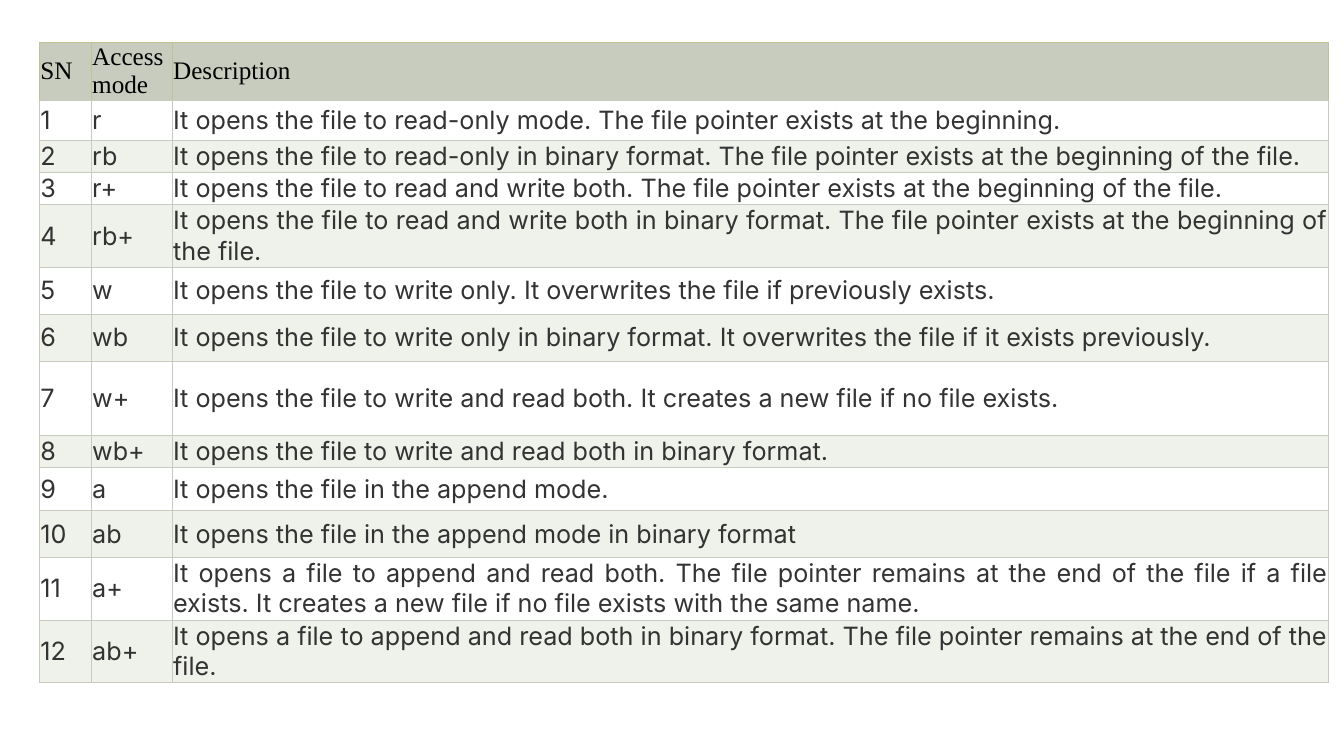
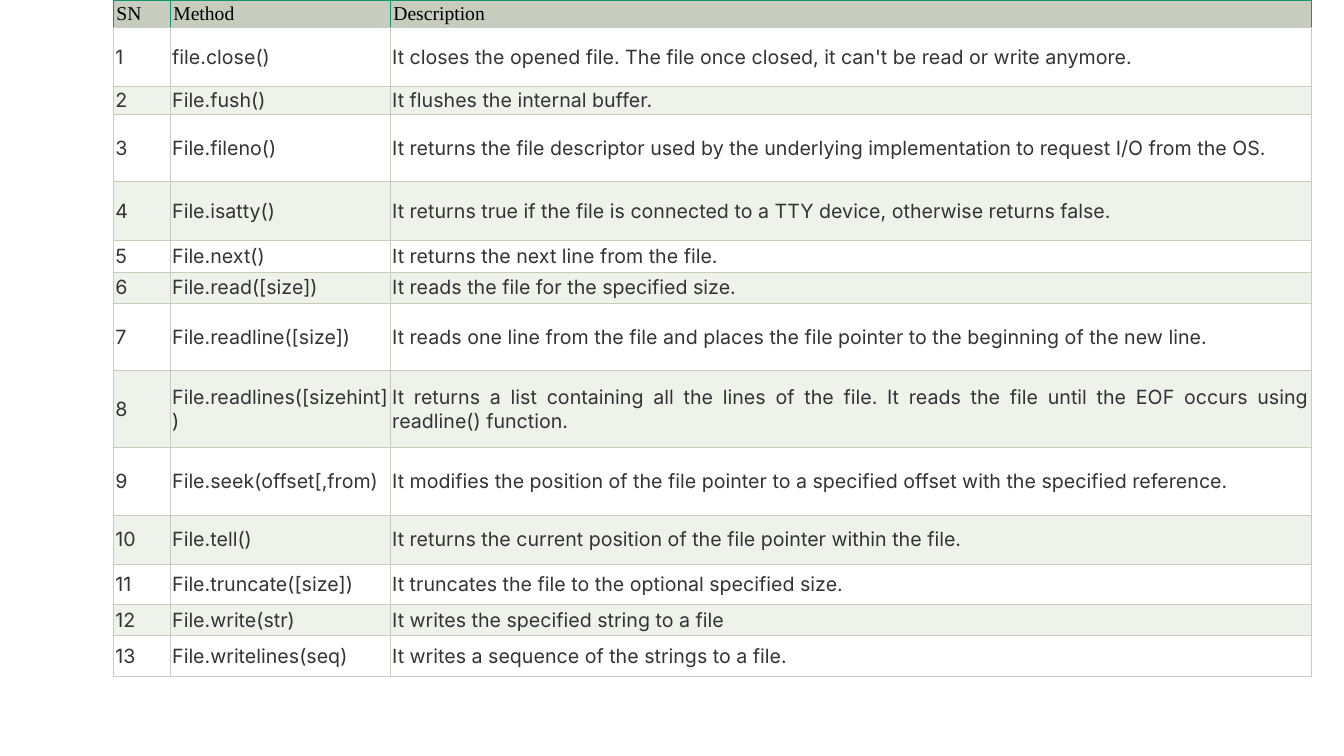
"""Build two slides with tables of file access modes and file methods."""
from lxml.etree import SubElement
from pptx import Presentation
from pptx.dml.color import RGBColor
from pptx.enum.text import MSO_ANCHOR, PP_ALIGN
from pptx.oxml.ns import qn
from pptx.util import Pt

GRID = "C7CCBE"
HEADER_FILL = "C7CCBE"
BAND_FILLS = ["FFFFFF", "EFF1EB"]
HEADER_FONT, BODY_FONT = "Times New Roman", "Inter"
HEADER_TEXT, BODY_TEXT = "000000", "333333"
BORDER_WIDTH = Pt(0.6)


def color(value):
    """Turn a hex string into a colour."""
    return RGBColor.from_string(value)


def set_borders(cell, side_color):
    """Draw the four cell borders, the lower one in the grid colour."""
    properties = cell._tc.get_or_add_tcPr()
    sides = [("L", side_color), ("R", side_color), ("T", side_color), ("B", GRID)]
    for position, (side, value) in enumerate(sides):
        line = SubElement(properties, qn(f"a:ln{side}"), w=str(BORDER_WIDTH))
        fill = SubElement(line, qn("a:solidFill"))
        SubElement(fill, qn("a:srgbClr"), val=value)
        properties.insert(position, line)


access_modes = [
    ("r", "It opens the file to read-only mode. The file pointer exists at the beginning."),
    ("rb", "It opens the file to read-only in binary format. The file pointer exists at the beginning of the file."),
    ("r+", "It opens the file to read and write both. The file pointer exists at the beginning of the file."),
    ("rb+", "It opens the file to read and write both in binary format. "
            "The file pointer exists at the beginning of the file."),
    ("w", "It opens the file to write only. It overwrites the file if previously exists."),
    ("wb", "It opens the file to write only in binary format. It overwrites the file if it exists previously."),
    ("w+", "It opens the file to write and read both. It creates a new file if no file exists."),
    ("wb+", "It opens the file to write and read both in binary format."),
    ("a", "It opens the file in the append mode."),
    ("ab", "It opens the file in the append mode in binary format"),
    ("a+", "It opens a file to append and read both. The file pointer remains at the end of the file "
           "if a file exists. It creates a new file if no file exists with the same name."),
    ("ab+", "It opens a file to append and read both in binary format. "
            "The file pointer remains at the end of the file."),
]
file_methods = [
    ("file.close()", "It closes the opened file. The file once closed, it can't be read or write anymore."),
    ("File.fush()", "It flushes the internal buffer."),
    ("File.fileno()", "It returns the file descriptor used by the underlying implementation "
                      "to request I/O from the OS."),
    ("File.isatty()", "It returns true if the file is connected to a TTY device, otherwise returns false."),
    ("File.next()", "It returns the next line from the file."),
    ("File.read([size])", "It reads the file for the specified size."),
    ("File.readline([size])", "It reads one line from the file and places the file pointer "
                              "to the beginning of the new line."),
    ("File.readlines([sizehint])", "It returns a list containing all the lines of the file. "
                                   "It reads the file until the EOF occurs using readline() function."),
    ("File.seek(offset[,from)", "It modifies the position of the file pointer to a specified offset "
                                "with the specified reference."),
    ("File.tell()", "It returns the current position of the file pointer within the file."),
    ("File.truncate([size])", "It truncates the file to the optional specified size."),
    ("File.write(str)", "It writes the specified string to a file"),
    ("File.writelines(seq)", "It writes a sequence of the strings to a file."),
]
tables = [
    {
        "name": "Access mode", "entries": access_modes, "left": 28.2, "top": 30.2, "size": 18,
        "columns": [37, 57.8, 826.2],
        "rows": [41.4, 28.4, 22.8, 22.8, 44.2, 33.4, 33.4, 53, 22.8, 30.8, 33.4, 44.2, 44.6],
        "header_border": "C0C296", "header_margin": 0.7, "body_margin": 0.7,
        "header_anchor": MSO_ANCHOR.MIDDLE, "header_alignment": PP_ALIGN.JUSTIFY,
    },
    {
        "name": "Method", "entries": file_methods, "left": 81, "top": 0, "size": 14,
        "columns": [40.6, 157.2, 658],
        "rows": [19.2, 42, 20, 48, 42, 22.4, 22.4, 48.2, 54.8, 48.2, 35.2, 28.8, 22.4, 28.8],
        "header_border": "10966D", "header_margin": 2.2, "body_margin": 1.4,
        "header_anchor": MSO_ANCHOR.TOP, "header_alignment": PP_ALIGN.LEFT,
    },
]

presentation = Presentation()
presentation.slide_width, presentation.slide_height = Pt(960), Pt(540)
blank_layout = presentation.slide_layouts[6]

for content in tables:
    slide = presentation.slides.add_slide(blank_layout)
    records = [("SN", content["name"], "Description")]
    records += [(str(number), *entry) for number, entry in enumerate(content["entries"], 1)]
    table = slide.shapes.add_table(
        len(records), 3, Pt(content["left"]), Pt(content["top"]),
        Pt(sum(content["columns"])), Pt(sum(content["rows"]))).table
    table.first_row = table.horz_banding = False
    for column, width in zip(table.columns, content["columns"]):
        column.width = Pt(width)
    for row_number, (row, height, record) in enumerate(zip(table.rows, content["rows"], records)):
        row.height = Pt(height)
        is_header = row_number == 0
        margin = Pt(content["header_margin"] if is_header else content["body_margin"])
        fill_color = HEADER_FILL if is_header else BAND_FILLS[(row_number - 1) % 2]
        for cell, text in zip(row.cells, record):
            cell.text = text
            cell.margin_left = cell.margin_right = cell.margin_top = cell.margin_bottom = margin
            cell.vertical_anchor = content["header_anchor"] if is_header else MSO_ANCHOR.MIDDLE
            cell.fill.solid()
            cell.fill.fore_color.rgb = color(fill_color)
            set_borders(cell, content["header_border"] if is_header else GRID)
            paragraph = cell.text_frame.paragraphs[0]
            paragraph.alignment = content["header_alignment"] if is_header else PP_ALIGN.JUSTIFY
            paragraph.font.name = HEADER_FONT if is_header else BODY_FONT
            paragraph.font.size = Pt(content["size"])
            paragraph.font.color.rgb = color(HEADER_TEXT if is_header else BODY_TEXT)

presentation.save("out.pptx")
